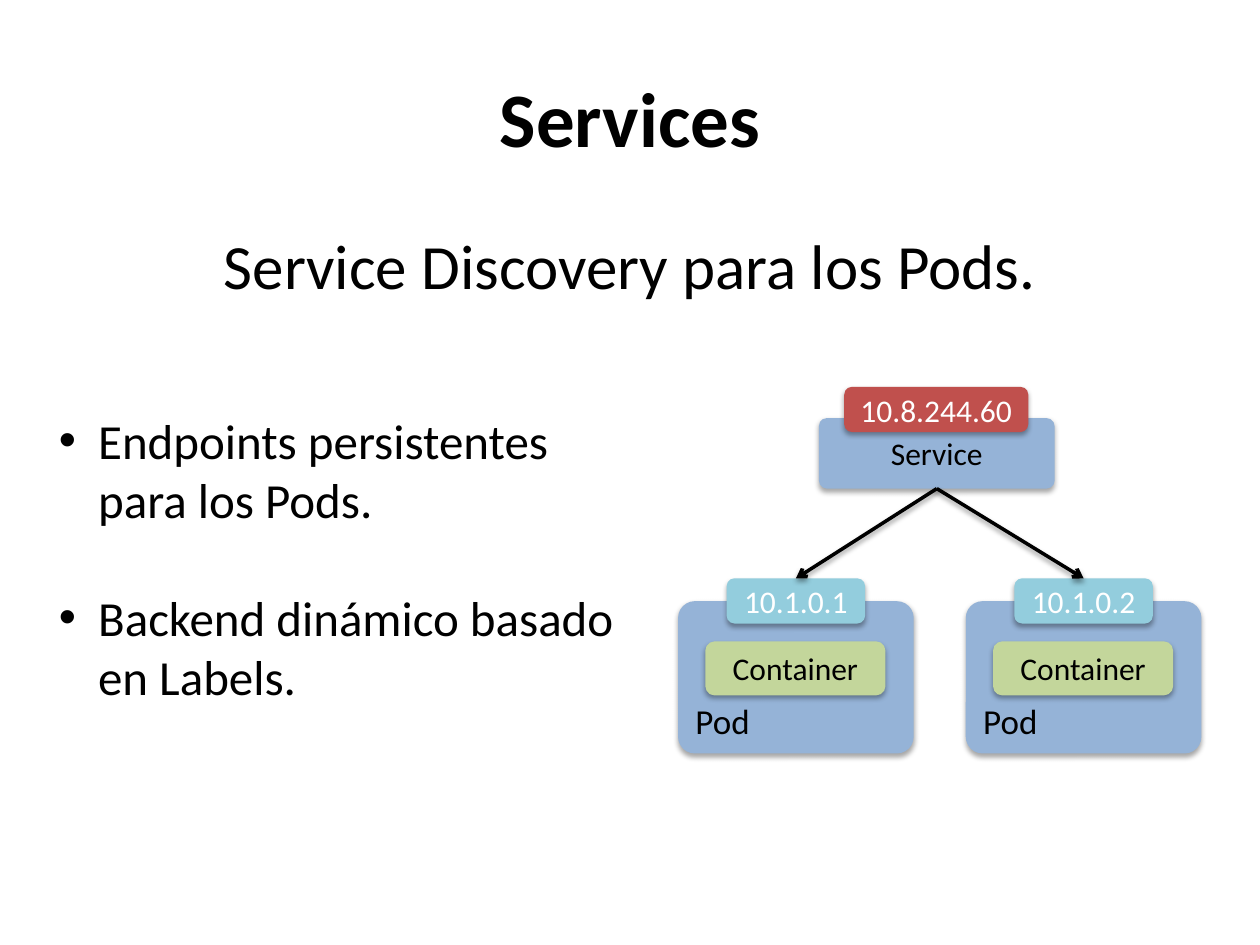
from lxml import etree
from pptx import Presentation
from pptx.dml.color import RGBColor
from pptx.enum.shapes import MSO_CONNECTOR, MSO_SHAPE
from pptx.enum.text import MSO_ANCHOR, PP_ALIGN
from pptx.oxml.ns import qn
from pptx.util import Cm, Pt

ROUNDED = MSO_SHAPE.ROUNDED_RECTANGLE
STRAIGHT = MSO_CONNECTOR.STRAIGHT
TOP, MIDDLE = MSO_ANCHOR.TOP, MSO_ANCHOR.MIDDLE
LEFT, CENTER = PP_ALIGN.LEFT, PP_ALIGN.CENTER

BLACK = RGBColor(0x00, 0x00, 0x00)
WHITE = RGBColor(0xFF, 0xFF, 0xFF)
BLUE = RGBColor(0x95, 0xB3, 0xD7)
GREEN = RGBColor(0xC3, 0xD6, 0x9B)
AQUA = RGBColor(0x93, 0xCD, 0xDD)
RED = RGBColor(0xC0, 0x50, 0x4D)

SIDE_TOP, SIDE_BOTTOM = 0, 2
POD_PITCH = 5.8


class ServiceSlide:
    """Style and current slide, with one method per kind of element."""

    font = "Calibri"
    bullet_indent = Cm(0.79)

    def __init__(self, page):
        self.page = page

    def format_paragraph(self, para, size, color=BLACK, align=LEFT, bold=False):
        para.alignment = align
        for span in para.runs:
            span.font.name = self.font
            span.font.size = Pt(size)
            span.font.bold = bold
            span.font.color.rgb = color

    def text(self, left, top, width, height, text, size, align=LEFT, anchor=TOP, bold=False):
        box = self.page.shapes.add_textbox(Cm(left), Cm(top), Cm(width), Cm(height))
        frame = box.text_frame
        frame.word_wrap = True
        frame.vertical_anchor = anchor
        frame.text = text
        for para in frame.paragraphs:
            self.format_paragraph(para, size, align=align, bold=bold)
        return box

    def bullets(self, left, top, width, height, items, size, gap):
        box = self.text(left, top, width, height, "\n".join(items), size)
        for index, para in enumerate(box.text_frame.paragraphs):
            if index:
                para.space_before = Pt(gap)
            properties = para._p.get_or_add_pPr()
            properties.set("marL", str(self.bullet_indent))
            properties.set("indent", str(-self.bullet_indent))
            etree.SubElement(properties, qn("a:buFont"), typeface="Arial")
            etree.SubElement(properties, qn("a:buChar"), char="•")

    def shadow(self, shape, opacity):
        shape_properties = shape.element.spPr
        effects = shape_properties.find(qn("a:effectLst"))
        if effects is None:
            effects = etree.SubElement(shape_properties, qn("a:effectLst"))
        outer = etree.SubElement(
            effects, qn("a:outerShdw"), blurRad=str(Pt(3.1)), dist=str(Pt(1.8)),
            dir="5400000", rotWithShape="0")
        color = etree.SubElement(outer, qn("a:srgbClr"), val=str(BLACK))
        etree.SubElement(color, qn("a:alpha"), val=str(opacity * 1000))

    def block(self, left, top, width, height, fill, text="", color=BLACK, corner=0.17):
        shape = self.page.shapes.add_shape(ROUNDED, Cm(left), Cm(top), Cm(width), Cm(height))
        shape.adjustments[0] = corner
        shape.fill.solid()
        shape.fill.fore_color.rgb = fill
        shape.line.fill.background()
        shape.shadow.inherit = False
        self.shadow(shape, 35)
        if text:
            frame = shape.text_frame
            frame.word_wrap = True
            frame.vertical_anchor = MIDDLE
            frame.text = text
            self.format_paragraph(frame.paragraphs[0], 18, color, CENTER)
        return shape

    def pod(self, left, address):
        self.block(left, 12.12, 4.75, 3.07, BLUE, corner=0.11)
        self.block(left + 0.55, 12.93, 3.63, 1.09, GREEN, "Container")
        label = self.block(left + 0.98, 11.66, 2.79, 0.91, AQUA, address, WHITE)
        self.text(left + 0.1, 13.97, 1.7, 1.12, "Pod", 20)
        return label

    def arrow(self, source, target):
        connector = self.page.shapes.add_connector(STRAIGHT, 0, 0, 0, 0)
        connector.begin_connect(source, SIDE_BOTTOM)
        connector.end_connect(target, SIDE_TOP)
        connector.line.color.rgb = BLACK
        connector.line.width = Pt(2)
        outline = connector.element.spPr.find(qn("a:ln"))
        etree.SubElement(outline, qn("a:tailEnd"), type="arrow")
        self.shadow(connector, 38)


def main():
    deck = Presentation()
    deck.slide_width, deck.slide_height = Cm(25.4), Cm(19.05)
    slide = ServiceSlide(deck.slides.add_slide(deck.slide_layouts[6]))

    slide.text(1.27, 0.76, 22.86, 3.18, "Services", 44, CENTER, MIDDLE, bold=True)
    slide.text(1.27, 4.45, 22.86, 1.93, "Service Discovery para los Pods.", 36, CENTER)
    slide.bullets(0.94, 8.15, 11.89, 6.25, [
        "Endpoints persistentes para los Pods.",
        "Backend dinámico basado en Labels.",
    ], size=28, gap=34)

    addresses = ["10.1.0.1", "10.1.0.2"]
    labels = [slide.pod(13.67 + index * POD_PITCH, address)
              for index, address in enumerate(addresses)]
    service = slide.block(16.51, 8.43, 4.75, 1.42, BLUE, "Service", corner=0.11)
    slide.block(17.02, 7.8, 3.71, 0.91, RED, "10.8.244.60", WHITE)
    for label in labels:
        slide.arrow(service, label)

    deck.save("out.pptx")


if __name__ == "__main__":
    main()
